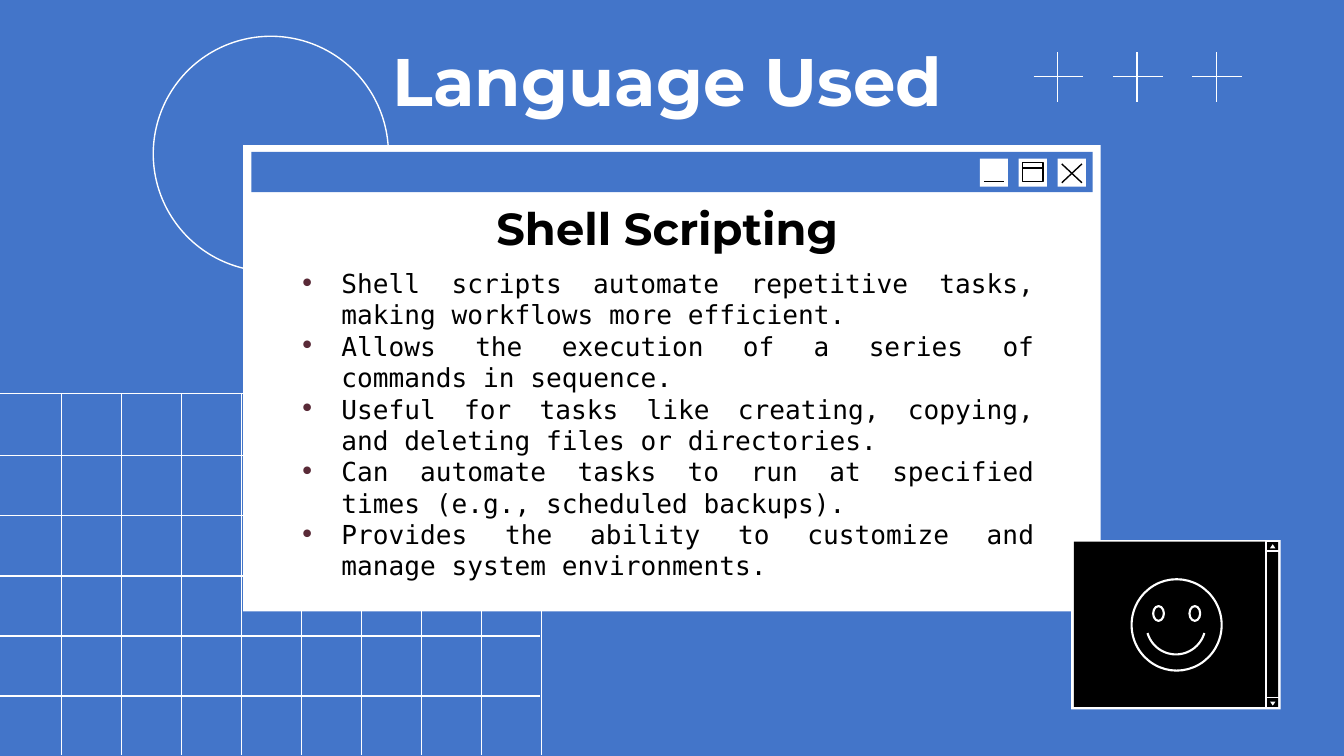
import math
from dataclasses import dataclass

import pptx
import pptx.dml.color
import pptx.enum.shapes
import pptx.enum.text
import pptx.oxml
import pptx.oxml.ns
import pptx.util

Inches = pptx.util.Inches
Shape = pptx.enum.shapes.MSO_SHAPE
Align = pptx.enum.text.PP_ALIGN
Anchor = pptx.enum.text.MSO_ANCHOR

COLORS = {
    "blue": "4375C9",
    "white": "FFFFFF",
    "black": "000000",
    "scroll": "FEFCFF",
    "bullet": "592A37",
}


@dataclass
class Box:
    left: float
    top: float
    width: float
    height: float
    fill: str | None = None
    line: str | None = None
    weight: float = 0.75
    kind: int = Shape.RECTANGLE
    rotation: float = 0


@dataclass
class Line:
    x1: float
    y1: float
    x2: float
    y2: float
    color: str = "white"
    weight: float = 0.75


@dataclass
class Text:
    left: float
    top: float
    width: float
    height: float
    paragraphs: list[str]
    font: dict
    color: str
    align: int = Align.CENTER
    anchor: int = Anchor.BOTTOM
    bullet: str | None = None


def rgb(name: str) -> pptx.dml.color.RGBColor:
    return pptx.dml.color.RGBColor.from_string(COLORS[name])


def style_shape(sp, fill: str | None, line: str | None, weight: float) -> None:
    sp.shadow.inherit = False
    for part, color in ((sp.fill, fill), (sp.line.fill, line)):
        if color:
            part.solid()
            part.fore_color.rgb = rgb(color)
        else:
            part.background()
    if line:
        sp.line.width = pptx.util.Pt(weight)


def draw_box(s, box: Box) -> None:
    sp = s.shapes.add_shape(box.kind, Inches(box.left), Inches(box.top),
                            Inches(box.width), Inches(box.height))
    sp.rotation = box.rotation
    style_shape(sp, box.fill, box.line, box.weight)


def draw_line(s, line: Line) -> None:
    sp = s.shapes.add_connector(pptx.enum.shapes.MSO_CONNECTOR.STRAIGHT,
                                Inches(line.x1), Inches(line.y1),
                                Inches(line.x2), Inches(line.y2))
    sp.line.color.rgb = rgb(line.color)
    sp.line.width = pptx.util.Pt(line.weight)
    sp._element.spPr.append(pptx.oxml.parse_xml(
        f'<a:effectLst {pptx.oxml.ns.nsdecls("a")}/>'))


def draw_smile(s, cx: float, cy: float, radius: float) -> None:
    angles = [math.radians(a) for a in range(164, 15, -4)]
    points = [(Inches(cx + radius * math.cos(a)), Inches(cy + radius * math.sin(a)))
              for a in angles]
    builder = s.shapes.build_freeform(*points[0])
    builder.add_line_segments(points[1:], close=False)
    style_shape(builder.convert_to_shape(), None, "white", 1.14)


def add_bullet(p, color: str, font: str) -> None:
    pPr = p._p.get_or_add_pPr()
    indent = pptx.util.Pt(22.5)
    pPr.set("marL", str(indent))
    pPr.set("indent", str(-indent))
    ns = pptx.oxml.ns.nsdecls("a")
    for xml in (f'<a:buClr {ns}><a:srgbClr val="{COLORS[color]}"/></a:buClr>',
                f'<a:buFont {ns} typeface="{font}"/>',
                f'<a:buChar {ns} char="•"/>'):
        pPr.append(pptx.oxml.parse_xml(xml))


def draw_text(s, text: Text) -> None:
    sp = s.shapes.add_textbox(Inches(text.left), Inches(text.top),
                              Inches(text.width), Inches(text.height))
    tf = sp.text_frame
    frame = {"word_wrap": True, "vertical_anchor": text.anchor}
    frame |= {f"margin_{side}": Inches(0.1) for side in ("left", "top", "right", "bottom")}
    for name, value in frame.items():
        setattr(tf, name, value)
    for i, content in enumerate(text.paragraphs):
        p = tf.add_paragraph() if i else tf.paragraphs[0]
        p.alignment = text.align
        if text.bullet:
            add_bullet(p, text.bullet, text.font["name"])
        r = p.add_run()
        r.text = content
        for name, value in text.font.items():
            setattr(r.font, name, value)
        r.font.color.rgb = rgb(text.color)


def heading(top: float, content: str, size: float, color: str) -> Text:
    font = {"name": "Montserrat", "size": pptx.util.Pt(size), "bold": True}
    return Text(2.38, top, 5.17, 0.59, [content], font, color)


def main() -> None:
    prs = pptx.Presentation()
    prs.slide_width, prs.slide_height = Inches(10), Inches(10 * 9 / 16)
    s = prs.slides.add_slide(prs.slide_layouts[6])
    s.background.fill.solid()
    s.background.fill.fore_color.rgb = rgb("blue")

    circle = Box(1.14, 0.27, 1.75, 1.75, line="white", kind=Shape.OVAL)
    grid = [Line(x, 2.93, x, 5.62) for x in (0.46 + i * 3.57 / 8 for i in range(9))]
    grid += [Line(0, y, 4.02, y) for y in (2.93, *(3.39 + i * 1.79 / 4 for i in range(5)))]
    pluses = []
    for x in (7.87, 8.46, 9.05):
        pluses += [Line(x - 0.18, 0.57, x + 0.19, 0.57), Line(x, 0.39, x, 0.76)]

    window = [
        Box(1.81, 1.08, 6.38, 3.47, "white"),
        Box(1.87, 1.15, 6.25, 3.33, "white"),
        Box(1.87, 1.13, 6.26, 0.3, "blue"),
        *(Box(7.29 + i * 0.29, 1.18, 0.21, 0.21, "white") for i in range(3)),
        Box(7.61, 1.21, 0.15, 0.14, line="black"),
    ]
    window_icons = [
        Line(7.32, 1.35, 7.47, 1.35, "black"),
        Line(7.61, 1.25, 7.76, 1.25, "black"),
        Line(7.9, 1.36, 8.05, 1.22, "black"),
        Line(7.9, 1.22, 8.05, 1.36, "black"),
    ]

    screen = [
        Box(7.97, 4.02, 1.56, 1.26, "white"),
        Box(7.99, 4.03, 1.52, 1.23, "black"),
        Box(9.42, 4.03, 0.1, 1.24, line="scroll", weight=0.78),
        Box(9.45, 4.05, 0.04, 0.03, "white", kind=Shape.ISOSCELES_TRIANGLE),
        Box(9.45, 5.22, 0.04, 0.03, "white", kind=Shape.ISOSCELES_TRIANGLE, rotation=180),
    ]
    scroll_ends = [Line(9.42, y, 9.52, y, "scroll", 0.78) for y in (4.1, 5.19)]
    face = [Box(*at, line="white", weight=1.14, kind=Shape.OVAL)
            for at in ((8.42, 4.31, 0.67, 0.68), (8.58, 4.51, 0.08, 0.11),
                       (8.85, 4.51, 0.08, 0.11))]

    points = Text(2.13, 1.89, 5.67, 2.42, [
        "Shell scripts automate repetitive tasks, making workflows more efficient.",
        "Allows the execution of a series of commands in sequence.",
        "Useful for tasks like creating, copying, and deleting files or directories.",
        "Can automate tasks to run at specified times (e.g., scheduled backups).",
        "Provides the ability to customize and manage system environments.",
    ], {"name": "DejaVu Sans Mono", "size": pptx.util.Pt(14)}, "black",
        Align.JUSTIFY, Anchor.TOP, "bullet")

    items = [circle, *grid, *pluses, *window, *window_icons,
             heading(1.4, "Shell Scripting", 24, "black"), points,
             *screen, *scroll_ends, *face,
             heading(0.4, "Language Used", 36, "white")]
    draw = {Box: draw_box, Line: draw_line, Text: draw_text}
    for item in items:
        draw[type(item)](s, item)
    draw_smile(s, 8.75, 4.65, 0.22)
    prs.save("out.pptx")


if __name__ == "__main__":
    main()
